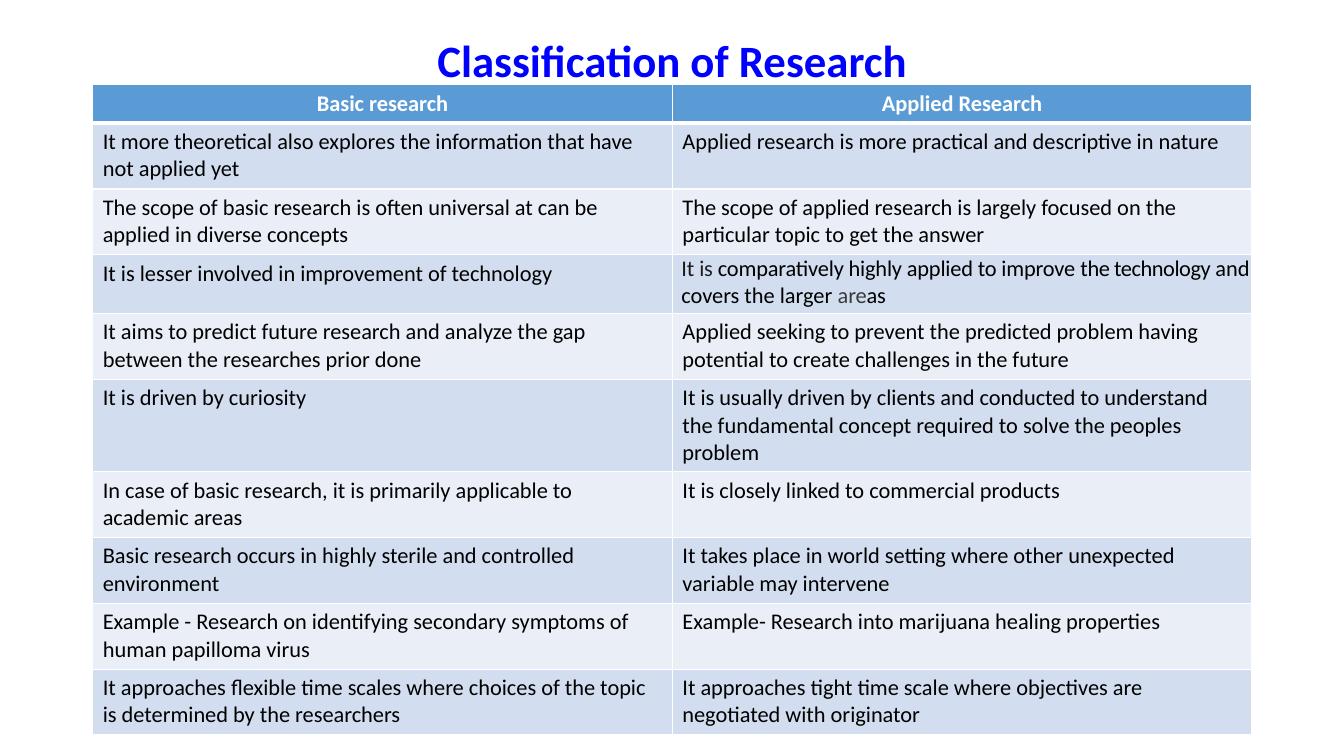
from lxml import etree
from pptx import Presentation
from pptx.dml.color import RGBColor
from pptx.enum import text as t
from pptx.oxml import ns
from pptx.util import Pt

FONT = "Calibri"
LEFT, WIDTH = 66.24, 828
HEAD, BANDS = "5B9BD5", ("EAEFF7", "D2DEEF")
HEIGHTS = [27.5, 47, 47, 42, 47, 66, 47, 47, 47, 47]

# A list holds runs of (text, colour, letter spacing in hundredths of a point).
MIXED = [
    ("It ", "181818", -10),
    ("is ", "1F1F1F", -10),
    ("comparatively highly applied to improve ", "000000", -10),
    ("the technology ", "000000", -30),
    ("and covers the larger ", "000000", 0),
    ("a", "3B3B3B", -10),
    ("re", "383838", -10),
    ("as", "000000", -10),
]
ROWS = [
    ("Basic research", "Applied Research"),
    ("It more theoretical also explores the information that have not applied yet",
     "Applied research is more practical and descriptive in nature"),
    ("The scope of basic research is often universal at can be applied in diverse concepts",
     "The scope of applied research is largely focused on the particular topic to get the answer"),
    ("It is lesser involved in improvement of technology", MIXED),
    ("It aims to predict future research and analyze the gap between the researches prior done",
     "Applied seeking to prevent the predicted problem having potential to create challenges "
     "in the future"),
    ("It is driven by curiosity",
     "It is usually driven by clients and conducted to understand the fundamental concept "
     "required to solve the peoples problem"),
    ("In case of basic research, it is primarily applicable to academic areas",
     "It is closely linked to commercial products"),
    ("Basic research occurs in highly sterile and controlled environment",
     "It takes place in world setting where other unexpected variable may intervene"),
    ("Example - Research on identifying secondary symptoms of human papilloma virus",
     "Example- Research into marijuana healing properties"),
    ("It approaches flexible time scales where choices of the topic is determined by the researchers",
     "It approaches tight time scale where objectives are negotiated with originator"),
]


def rgb(code):
    return RGBColor.from_string(code)


def write(frame, words, size=16, color="000000", bold=False, align=t.PP_ALIGN.LEFT, lead=1.0):
    """Fill the first paragraph with a string or with a list of runs."""
    para = frame.paragraphs[0]
    para.alignment = align
    para.line_spacing = lead
    runs = [(words, color, 0)] if isinstance(words, str) else words
    for part, tint, gap in runs:
        run = para.add_run()
        run.text = part
        font = run.font
        font.name, font.size, font.bold = FONT, Pt(size), bold
        font.color.rgb = rgb(tint)
        if gap:
            font._element.set("spc", str(gap))


def edge(cell, side, width, color="FFFFFF"):
    """Add one border line; call it before the cell gets its fill."""
    props = cell._tc.get_or_add_tcPr()
    line = etree.SubElement(props, ns.qn("a:ln" + side), w=str(Pt(width)))
    fill = etree.SubElement(line, ns.qn("a:solidFill"))
    etree.SubElement(fill, ns.qn("a:srgbClr"), val=color)


def paint(cell, row):
    for side in "LRTB":
        thick = (row, side) in ((0, "B"), (1, "T"))
        edge(cell, side, 3 if thick else 1)
    cell.fill.solid()
    cell.fill.fore_color.rgb = rgb(BANDS[row % 2] if row else HEAD)


def inset(cell, indent):
    """Drop the cell margins and indent the paragraph instead."""
    cell.margin_left = cell.margin_right = cell.margin_top = cell.margin_bottom = 0
    props = cell.text_frame.paragraphs[0]._p.get_or_add_pPr()
    props.set("marL", str(Pt(indent)))
    props.set("indent", "0")


def head(slide, words):
    title = slide.shapes.title
    title.left, title.top, title.width, title.height = Pt(LEFT), Pt(28.8), Pt(WIDTH), Pt(31.7)
    frame = title.text_frame
    frame.auto_size = t.MSO_AUTO_SIZE.NONE
    frame.vertical_anchor = t.MSO_ANCHOR.MIDDLE
    write(frame, words, size=32, color="0000FF", bold=True, align=t.PP_ALIGN.CENTER, lead=0.9)


def grid(slide, rows, heights):
    table = slide.shapes.add_table(len(rows), 2, Pt(LEFT), Pt(60.5),
                                   Pt(WIDTH), Pt(sum(heights))).table
    for r, (pair, height) in enumerate(zip(rows, heights)):
        table.rows[r].height = Pt(height)
        for c, words in enumerate(pair):
            cell = table.cell(r, c)
            paint(cell, r)
            if r == 0:
                write(cell.text_frame, words, color="FFFFFF", bold=True, align=t.PP_ALIGN.CENTER)
            else:
                write(cell.text_frame, words)
            if words is MIXED:
                inset(cell, 6.5)


def main():
    deck = Presentation()
    deck.slide_width, deck.slide_height = Pt(960), Pt(540)
    slide = deck.slides.add_slide(deck.slide_layouts[5])
    head(slide, "Classification of Research")
    grid(slide, ROWS, HEIGHTS)
    deck.save("out.pptx")


if __name__ == "__main__":
    main()
